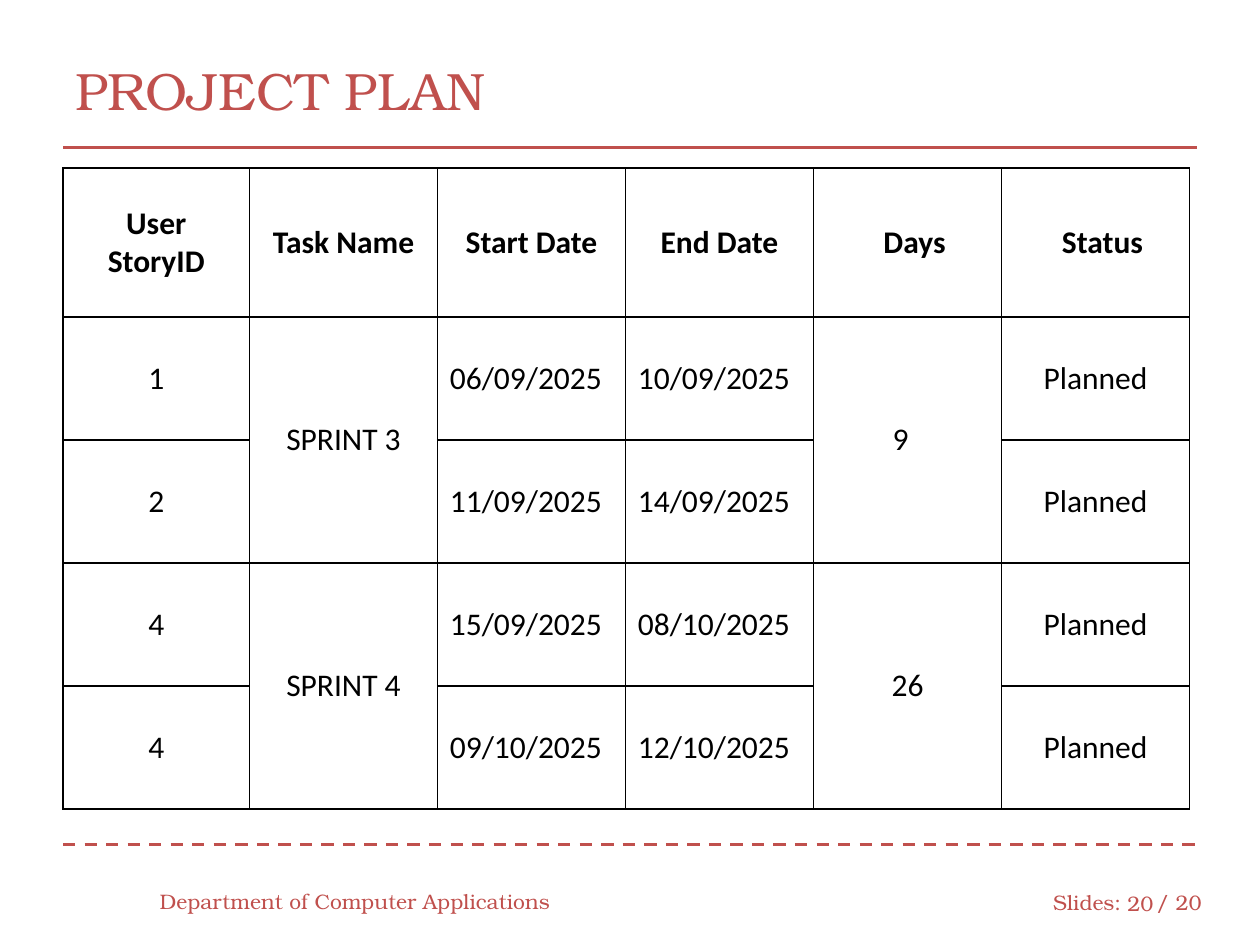
import pptx
import pptx.util
import pptx.dml.color
import pptx.enum.dml
import pptx.enum.shapes
import pptx.enum.text
import pptx.oxml
import pptx.oxml.ns

Cm, Pt = pptx.util.Cm, pptx.util.Pt
RGBColor = pptx.dml.color.RGBColor
ALIGN = pptx.enum.text.PP_ALIGN
MIDDLE = pptx.enum.text.MSO_ANCHOR.MIDDLE

RED = RGBColor(0xC0, 0x50, 0x4D)
BLACK = RGBColor(0, 0, 0)
WHITE = RGBColor(0xFF, 0xFF, 0xFF)
SERIF, SANS = "TeX Gyre Bonum", "Calibri"

# text, left, top, width, height (cm), size (pt), alignment
TEXTS = [
    ("PROJECT PLAN", 1.27, 0.64, 22.86, 2.33, 30, ALIGN.LEFT),
    ("Department of Computer Applications", 2.97, 17.65, 8.46, 1.02, 12, ALIGN.LEFT),
    ("Slides:", 20.98, 17.68, 1.91, 1.02, 12, ALIGN.LEFT),
    ("20", 22.43, 17.7, 1.07, 1.02, 12, ALIGN.RIGHT),
    ("/ 20", 23.06, 17.68, 1.47, 1.02, 12, ALIGN.LEFT),
]

# height (cm), dash style
RULES = [(2.97, None), (17.02, pptx.enum.dml.MSO_LINE.DASH)]

HEADER = ["User\nStoryID", "Task Name", "Start Date", "End Date", "Days", "Status"]
SPRINTS = [
    ("SPRINT 3", "9", [("1", "06/09/2025", "10/09/2025", "Planned"),
                       ("2", "11/09/2025", "14/09/2025", "Planned")]),
    ("SPRINT 4", "26", [("4", "15/09/2025", "08/10/2025", "Planned"),
                        ("4", "09/10/2025", "12/10/2025", "Planned")]),
]
TASK, START, END, DAYS = 1, 2, 3, 4
TABLE_LEFT, TABLE_TOP = 1.27, 3.39
COLUMNS = [3.76] + [3.79] * 5
ROWS = [3.0] + [2.48] * 4
INSET, NUDGE = 0.25, 0.28
# header or body cells set slightly off centre: text -> extra left, extra right inset
NUDGES = {"Days": (NUDGE, 0), "Status": (NUDGE, 0), "9": (0, NUDGE)}


def add_text(slide, text, left, top, width, height, size, align):
    tf = slide.shapes.add_textbox(Cm(left), Cm(top), Cm(width), Cm(height)).text_frame
    tf.word_wrap = True
    tf.vertical_anchor = MIDDLE
    p = tf.paragraphs[0]
    p.text = text
    p.alignment = align
    set_font(p, SERIF, size, RED)


def set_font(p, name, size, color, bold=False):
    p.font.name, p.font.size, p.font.bold = name, Pt(size), bold
    p.font.color.rgb = color


def add_rule(slide, y, dash):
    line = slide.shapes.add_connector(
        pptx.enum.shapes.MSO_CONNECTOR.STRAIGHT, Cm(1.27), Cm(y), Cm(24.13), Cm(y))
    line.line.color.rgb = RED
    line.line.width = Pt(1.75)
    if dash:
        line.line.dash_style = dash
    line._element.spPr.append(pptx.oxml.parse_xml(
        f"<a:effectLst {pptx.oxml.ns.nsdecls('a')}/>"))


def add_borders(cell):
    tcPr = cell._tc.get_or_add_tcPr()
    for i, side in enumerate(("lnL", "lnR", "lnT", "lnB")):
        tcPr.insert(i, pptx.oxml.parse_xml(
            f'<a:{side} {pptx.oxml.ns.nsdecls("a")} w="{Pt(1)}"><a:solidFill>'
            f'<a:srgbClr val="{BLACK}"/></a:solidFill></a:{side}>'))


def fill_cell(cell, text, align, bold):
    cell.fill.solid()
    cell.fill.fore_color.rgb = WHITE
    add_borders(cell)
    cell.vertical_anchor = MIDDLE
    left, right = NUDGES.get(text, (0, 0))
    cell.margin_left, cell.margin_right = Cm(INSET + left), Cm(INSET + right)
    cell.margin_top = cell.margin_bottom = Cm(INSET)
    cell.text = text
    for p in cell.text_frame.paragraphs:
        p.alignment = align
        set_font(p, SANS, 18, BLACK, bold)


def add_plan(slide):
    table = slide.shapes.add_table(
        len(ROWS), len(COLUMNS), Cm(TABLE_LEFT), Cm(TABLE_TOP),
        Cm(sum(COLUMNS)), Cm(sum(ROWS))).table
    table.horz_banding = False
    for column, width in zip(table.columns, COLUMNS):
        column.width = Cm(width)
    for row, height in zip(table.rows, ROWS):
        row.height = Cm(height)

    rows = [HEADER]
    for task, days, stories in SPRINTS:
        first = len(rows)
        for i, (story, start, end, status) in enumerate(stories):
            shown = (task, days) if i == 0 else ("", "")
            rows.append([story, shown[0], start, end, shown[1], status])
        for c in (TASK, DAYS):
            table.cell(first, c).merge(table.cell(len(rows) - 1, c))

    for r, row in enumerate(rows):
        for c, text in enumerate(row):
            is_date = r > 0 and c in (START, END)
            fill_cell(table.cell(r, c), text,
                      ALIGN.LEFT if is_date else ALIGN.CENTER, bold=r == 0)


def main():
    prs = pptx.Presentation()
    prs.slide_width, prs.slide_height = Cm(25.4), Cm(19.05)
    slide = prs.slides.add_slide(prs.slide_layouts[6])
    for rule in RULES:
        add_rule(slide, *rule)
    for text in TEXTS:
        add_text(slide, *text)
    add_plan(slide)
    prs.save("out.pptx")


if __name__ == "__main__":
    main()
